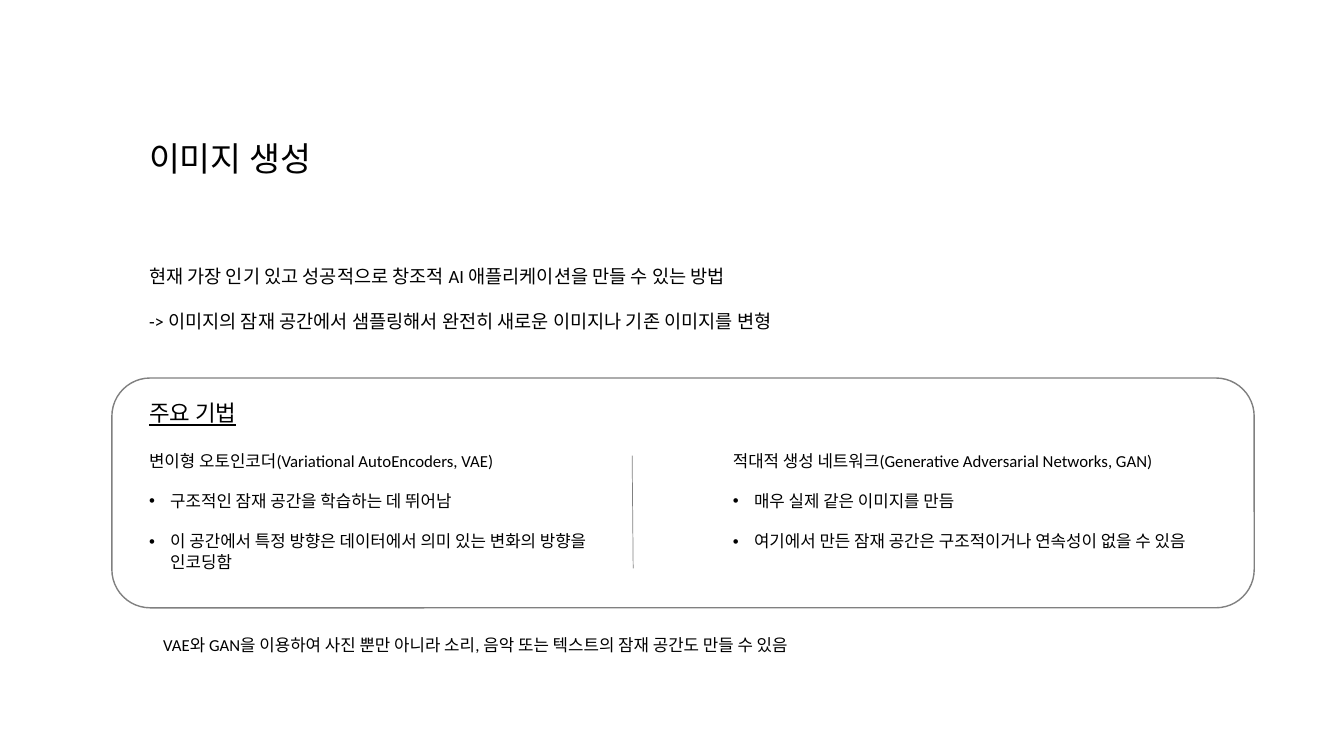
"""Builds the slide on image generation with VAE and GAN."""
from dataclasses import dataclass

from lxml import etree
from pptx import Presentation
from pptx import util as u
from pptx.dml.color import RGBColor
from pptx.enum import shapes
from pptx.oxml.ns import qn


@dataclass(frozen=True)
class Theme:
    """Colours, fonts and type sizes in points."""
    ink: RGBColor = RGBColor(0x00, 0x00, 0x00)
    outline: RGBColor = RGBColor(0x80, 0x80, 0x80)
    title_font: str = "Lato"
    body_font: str = "Calibri"
    bullet_font: str = "Arial"
    korean_font: str = "Noto Sans CJK KR"
    title: float = 24
    heading: float = 16
    lead: float = 13.3
    body: float = 12


class SlideBuilder:
    """Adds styled elements to the current slide."""

    def __init__(self, presentation, theme):
        """Opens a blank slide."""
        self.theme = theme
        self.slide = presentation.slides.add_slide(presentation.slide_layouts[6])

    def text_box(self, left, top, width, height):
        """Returns the frame of a wrapping text box."""
        box = self.slide.shapes.add_textbox(*map(u.Inches, (left, top, width, height)))
        box.text_frame.word_wrap = True
        return box.text_frame

    def add_text(self, frame, words, size, font=None, before=0, underline=None, bullet=False):
        """Adds one paragraph, using the empty first one if there is one."""
        paragraph = frame.paragraphs[0] if not frame.text else frame.add_paragraph()
        paragraph.text = words
        if before:
            paragraph.space_before = u.Pt(before)
        if bullet:
            properties = paragraph._p.get_or_add_pPr()
            properties.set("marL", str(u.Inches(0.21)))
            properties.set("indent", str(u.Inches(-0.21)))
            etree.SubElement(properties, qn("a:buFont")).set("typeface", "Arial")
            etree.SubElement(properties, qn("a:buChar")).set("char", "•")
        for run in paragraph.runs:
            run.font.name = font or self.theme.body_font
            run.font.size = u.Pt(size)
            run.font.underline = underline
            run.font.color.rgb = self.theme.ink
        return paragraph

    def technique(self, left, width, height, name, points):
        """Adds a technique name with its bullet points."""
        frame = self.text_box(left, 4.42, width, height)
        size = self.theme.body
        self.add_text(frame, name, size)
        for point in points:
            self.add_text(frame, point, size, self.theme.bullet_font, 14.4, bullet=True)

    def panel(self, left, top, width, height):
        """Adds an unfilled rounded panel."""
        shape = self.slide.shapes.add_shape(
            shapes.MSO_SHAPE.ROUNDED_RECTANGLE, *map(u.Inches, (left, top, width, height)))
        shape.shadow.inherit = False
        shape.fill.background()
        shape.line.color.rgb = self.theme.outline
        shape.line.width = u.Pt(1)

    def divider(self, *ends):
        """Adds a thin straight line."""
        line = self.slide.shapes.add_connector(
            shapes.MSO_CONNECTOR.STRAIGHT, *map(u.Inches, ends))
        line.line.color.rgb = self.theme.outline
        line.line.width = u.Pt(0.5)
        etree.SubElement(line._element.spPr, qn("a:effectLst"))


def main():
    """Builds and saves the presentation."""
    presentation = Presentation()
    presentation.slide_width = u.Inches(13.33)
    presentation.slide_height = u.Inches(7.5)
    theme = Theme()
    builder = SlideBuilder(presentation, theme)

    intro = builder.text_box(1.38, 2.58, 9.78, 1.94)
    builder.add_text(intro, "현재 가장 인기 있고 성공적으로 창조적 AI 애플리케이션을 만들 수 있는 방법", theme.lead)
    builder.add_text(intro, "-> 이미지의 잠재 공간에서 샘플링해서 완전히 새로운 이미지나 기존 이미지를 변형",
                     theme.lead, before=16)
    builder.add_text(intro, "주요 기법", theme.heading, before=48, underline=True)

    title = builder.text_box(1.38, 1.32, 4.68, 0.5)
    builder.add_text(title, "이미지 생성", theme.title, theme.title_font)

    closing = builder.text_box(1.52, 6.25, 8.54, 0.3)
    paragraph = builder.add_text(
        closing, "VAE와 GAN을 이용하여 사진 뿐만 아니라 소리, 음악 또는 텍스트의 잠재 공간도 만들 수 있음",
        theme.body)
    for run in paragraph.runs:
        etree.SubElement(run.font._element, qn("a:ea")).set("typeface", theme.korean_font)

    builder.technique(7.17, 5.11, 1.31, "적대적 생성 네트워크(Generative Adversarial Networks, GAN)", [
        "매우 실제 같은 이미지를 만듬",
        "여기에서 만든 잠재 공간은 구조적이거나 연속성이 없을 수 있음"])
    builder.technique(1.38, 4.78, 1.51, "변이형 오토인코더(Variational AutoEncoders, VAE)", [
        "구조적인 잠재 공간을 학습하는 데 뛰어남",
        "이 공간에서 특정 방향은 데이터에서 의미 있는 변화의 방향을 인코딩함"])

    builder.panel(1.11, 3.75, 11.33, 2.28)
    builder.divider(6.27, 4.52, 6.28, 5.64)
    presentation.save("out.pptx")


if __name__ == "__main__":
    main()
